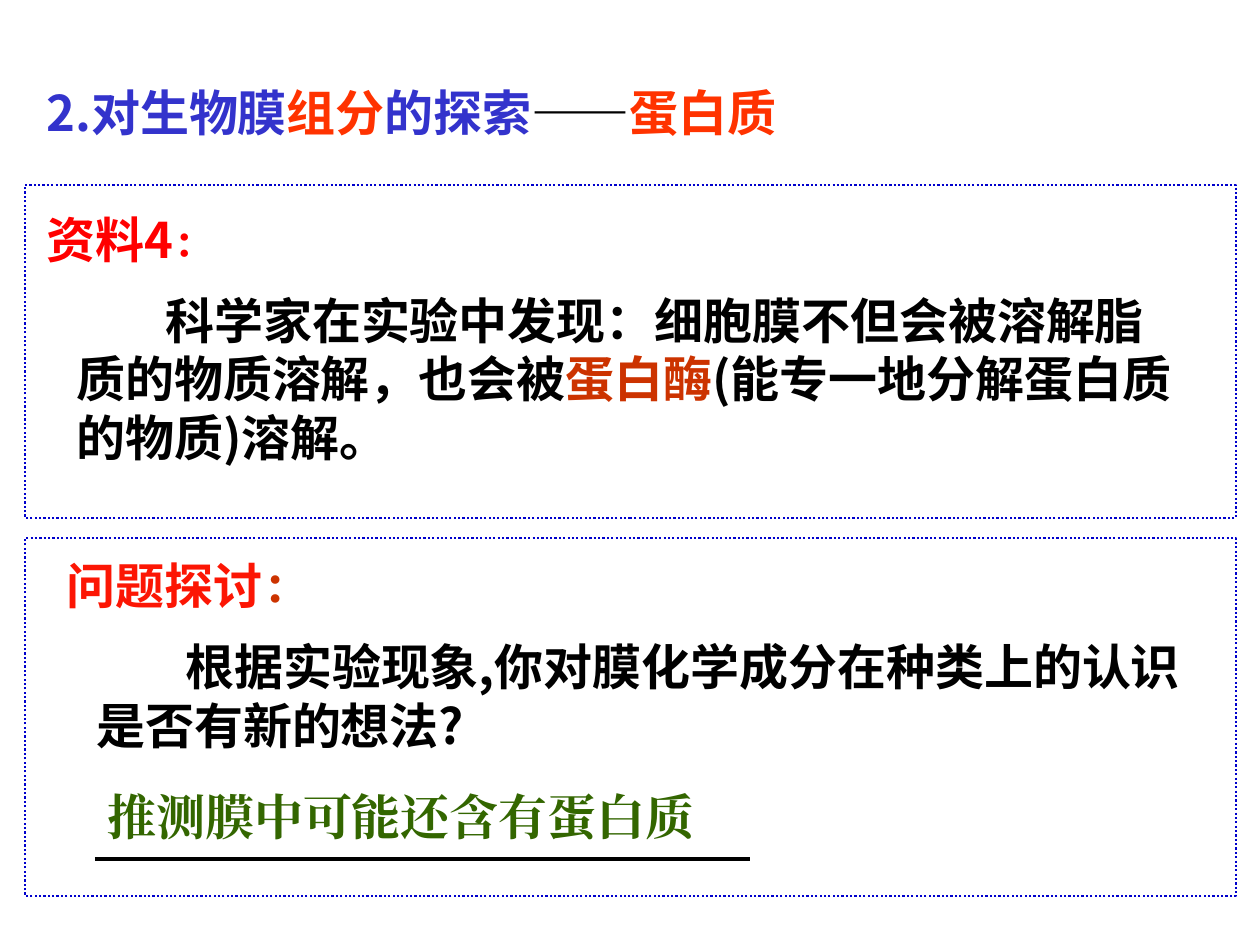
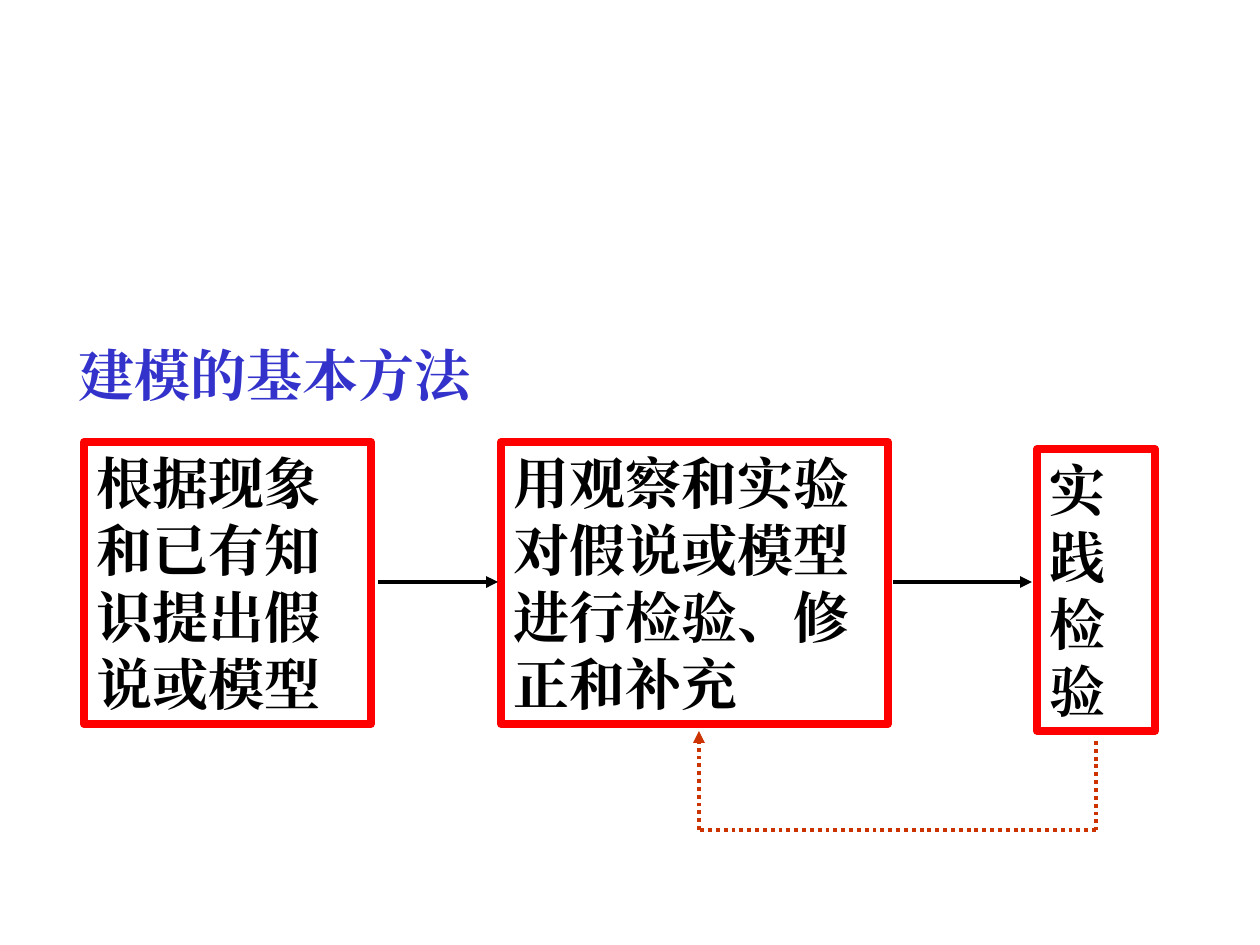
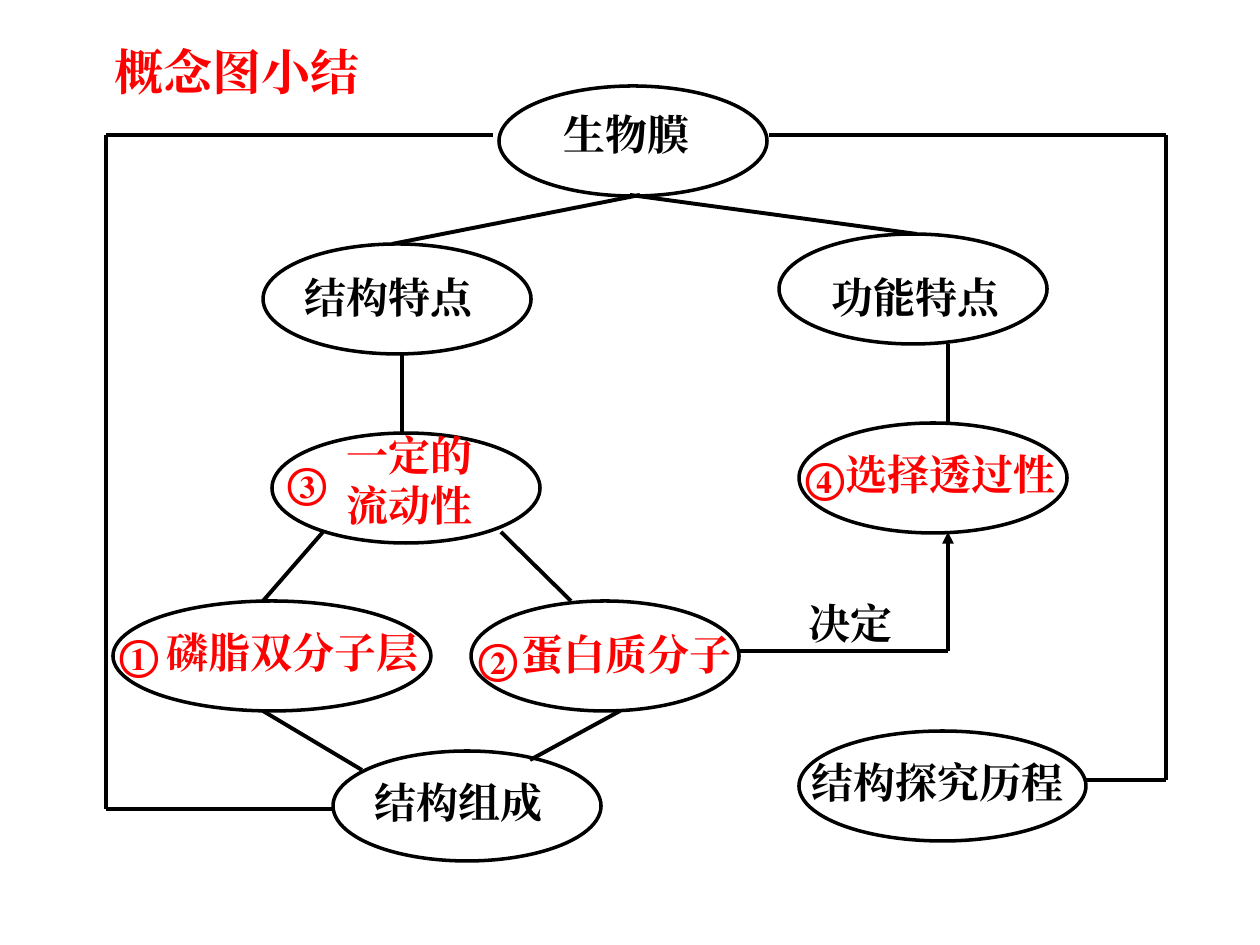
from itertools import pairwise

from lxml import etree
from pptx import Presentation, util as u
from pptx.dml.color import RGBColor
from pptx.enum import dml, shapes, text
from pptx.oxml.ns import qn

PX = 914400 / 126
BLACK = RGBColor(0, 0, 0)
RED = RGBColor(0xFF, 0, 0)
SCARLET = RGBColor(0xFC, 0x16, 0x04)
ORANGE = RGBColor(0xFF, 0x33, 0)
RUST = RGBColor(0xCC, 0x33, 0)
BLUE = RGBColor(0x33, 0x33, 0xCC)
NAVY = RGBColor(0, 0, 0xCC)
GREEN = RGBColor(0x33, 0x66, 0)
SERIF, SANS, BODY = "Times New Roman", "Noto Sans CJK SC", "Noto Sans CJK JP"
DOTS = dml.MSO_LINE.ROUND_DOT

# Slide 1: framed panels, then texts as (box, indent, runs of text, size, font, colour)
PANELS = [(25, 185, 1211, 333), (25, 538, 1211, 358)]
ANSWER = [(95, 859), (750, 859)]
NOTES = [
    ((34, 76, 953, 72), 0, [
        ("2.对生物膜", 28, SANS, BLUE), ("组分", 28, SANS, ORANGE),
        ("的探索", 28, SANS, BLUE), ("——", 28, SANS, BLACK),
        ("蛋白质", 28, SANS, ORANGE)]),
    ((34, 203, 258, 72), 0, [
        ("资料4", 28, SANS, RED), ("：", 24, SERIF, RED)]),
    ((64, 284, 1131, 189), 89, [
        ("科学家在实验中发现：细胞膜不但会被溶解脂质的物质溶解，也会被", 28, BODY, BLACK),
        ("蛋白酶", 28, BODY, RUST),
        ("(能专一地分解蛋白质的物质)溶解。", 28, BODY, BLACK)]),
    ((54, 549, 338, 72), 0, [
        ("问题探讨", 28, SANS, SCARLET), ("：", 28, SERIF, RUST)]),
    ((84, 630, 1142, 131), 89, [
        ("根据实验现象,你对膜化学成分在种类上的认识是否有新的想法?", 28, BODY, BLACK)]),
    ((95, 780, 843, 72), 0, [("推测膜中可能还含有蛋白质", 28, SERIF, GREEN)]),
]

# Slide 2: steps of modelling
HEAD = ("建模的基本方法", (66, 334, 427, 81))
STEPS = [
    ((84, 442, 287, 282), "根据现象和已有知识提出假说或模型"),
    ((501, 442, 387, 282), "用观察和实验对假说或模型进行检验、修正和补充"),
    ((1037, 449, 118, 282), "实践检验"),
]
FLOWS = [[(378, 582), (498, 582)], [(893, 582), (1032, 582)]]
RETURN = [(1096, 741), (1096, 830), (699, 830), (699, 731)]

# Slide 3: nodes as (left, top, width), then labels as (left, top, columns)
TITLE = ("概念图小结", (102, 35, 300, 72))
NODE_W, NODE_H = 268, 110
NODES = [
    (499, 86, NODE_W), (263, 244, NODE_W), (779, 234, NODE_W),
    (272, 433, NODE_W), (799, 423, NODE_W), (113, 601, 318),
    (471, 601, NODE_W), (333, 751, NODE_W), (799, 731, 287),
]
LABELS = [
    ("生物膜", 551, 102, 3, BLACK), ("结构特点", 292, 265, 4, BLACK),
    ("功能特点", 819, 265, 4, BLACK), ("结构组成", 362, 770, 4, BLACK),
    ("结构探究历程", 799, 750, 6, BLACK), ("决定", 796, 591, 2, BLACK),
    ("一定的流动性", 334, 423, 3, RED), ("选择透过性", 833, 442, 5, RED),
    ("磷脂双分子层", 154, 620, 6, RED), ("蛋白质分子", 509, 622, 5, RED),
    ("①", 107, 622, 1, RED), ("②", 466, 626, 1, RED),
    ("③", 275, 450, 1, RED), ("④", 793, 445, 1, RED),
]
LINKS = [
    [(640, 195), (392, 244)], [(630, 195), (917, 234)],
    [(402, 354), (402, 433)], [(948, 344), (948, 423)],
    [(323, 532), (263, 601)], [(501, 532), (571, 601)],
    [(263, 711), (362, 770)], [(530, 760), (620, 711)],
    [(493, 135), (106, 135), (106, 809), (334, 809)],
    [(769, 135), (1166, 135), (1166, 780), (1086, 780)],
]
DECIDES = [(740, 651), (948, 651), (948, 532)]


def emu(*vals):
    return [u.Emu(round(v * PX)) for v in vals]


def style(line, color, width, dash=None):
    line.color.rgb = color
    line.width = u.Pt(width)
    if dash:
        line.dash_style = dash


def write(frame, runs, indent=0):
    """Fill a frame with one bold paragraph of (text, size, font, colour) runs."""
    frame.word_wrap = True
    frame.vertical_anchor = text.MSO_ANCHOR.TOP
    para = frame.paragraphs[0]
    para.alignment = text.PP_ALIGN.LEFT
    if indent:
        para._p.get_or_add_pPr().set("indent", str(emu(indent)[0]))
    for words, size, face, color in runs:
        run = para.add_run()
        run.text = words
        form = {"name": face, "size": u.Pt(size), "bold": True}
        for key, val in form.items():
            setattr(run.font, key, val)
        run.font.color.rgb = color
        props = run._r.get_or_add_rPr()
        props.set("lang", "zh-CN")
        east = etree.Element(qn("a:ea"), typeface=face)
        props.find(qn("a:latin")).addnext(east)


def label(slide, box, runs, indent=0):
    write(slide.shapes.add_textbox(*emu(*box)).text_frame, runs, indent)


def outline(slide, kind, box, color, width, dash=None):
    shape = slide.shapes.add_shape(kind, *emu(*box))
    shape.shadow.inherit = False
    shape.fill.background()
    style(shape.line, color, width, dash)
    return shape


def route(slide, points, color=BLACK, width=2.25, dash=None, arrow=False):
    """Join the points with straight lines, the last one with an arrowhead if asked."""
    for start, end in pairwise(points):
        link = slide.shapes.add_connector(
            shapes.MSO_CONNECTOR.STRAIGHT, *emu(*start, *end))
        style(link.line, color, width, dash)
        etree.SubElement(link._element.spPr, qn("a:effectLst"))
    if arrow:
        etree.SubElement(link.line._get_or_add_ln(), qn("a:tailEnd"), type="triangle")


def protein(slide):
    for box in PANELS:
        outline(slide, shapes.MSO_SHAPE.RECTANGLE, box, NAVY, 1.25, DOTS)
    route(slide, ANSWER, width=2.5)
    for box, indent, runs in NOTES:
        label(slide, box, runs, indent)


def method(slide):
    words, box = HEAD
    label(slide, box, [(words, 32, SERIF, BLUE)])
    for box, words in STEPS:
        step = outline(slide, shapes.MSO_SHAPE.RECTANGLE, box, RED, 4.5)
        write(step.text_frame, [(words, 32, SERIF, BLACK)])
    for flow in FLOWS:
        route(slide, flow, arrow=True)
    route(slide, RETURN, RUST, dash=DOTS, arrow=True)


def concept(slide):
    words, box = TITLE
    label(slide, box, [(words, 28, SERIF, RED)])
    for left, top, wide in NODES:
        outline(slide, shapes.MSO_SHAPE.OVAL, (left, top, wide, NODE_H), BLACK, 2)
    for points in LINKS:
        route(slide, points)
    route(slide, DECIDES, arrow=True)
    for words, left, top, cols, color in LABELS:
        rows = len(words) // cols
        box = (left, top, cols * 42 + 30, rows * 50 + 13)
        label(slide, box, [(words, 24, SERIF, color)])


def main():
    deck = Presentation()
    deck.slide_width, deck.slide_height = emu(1260, 945)
    for draw in (protein, method, concept):
        draw(deck.slides.add_slide(deck.slide_layouts[6]))
    deck.save("out.pptx")


if __name__ == "__main__":
    main()
